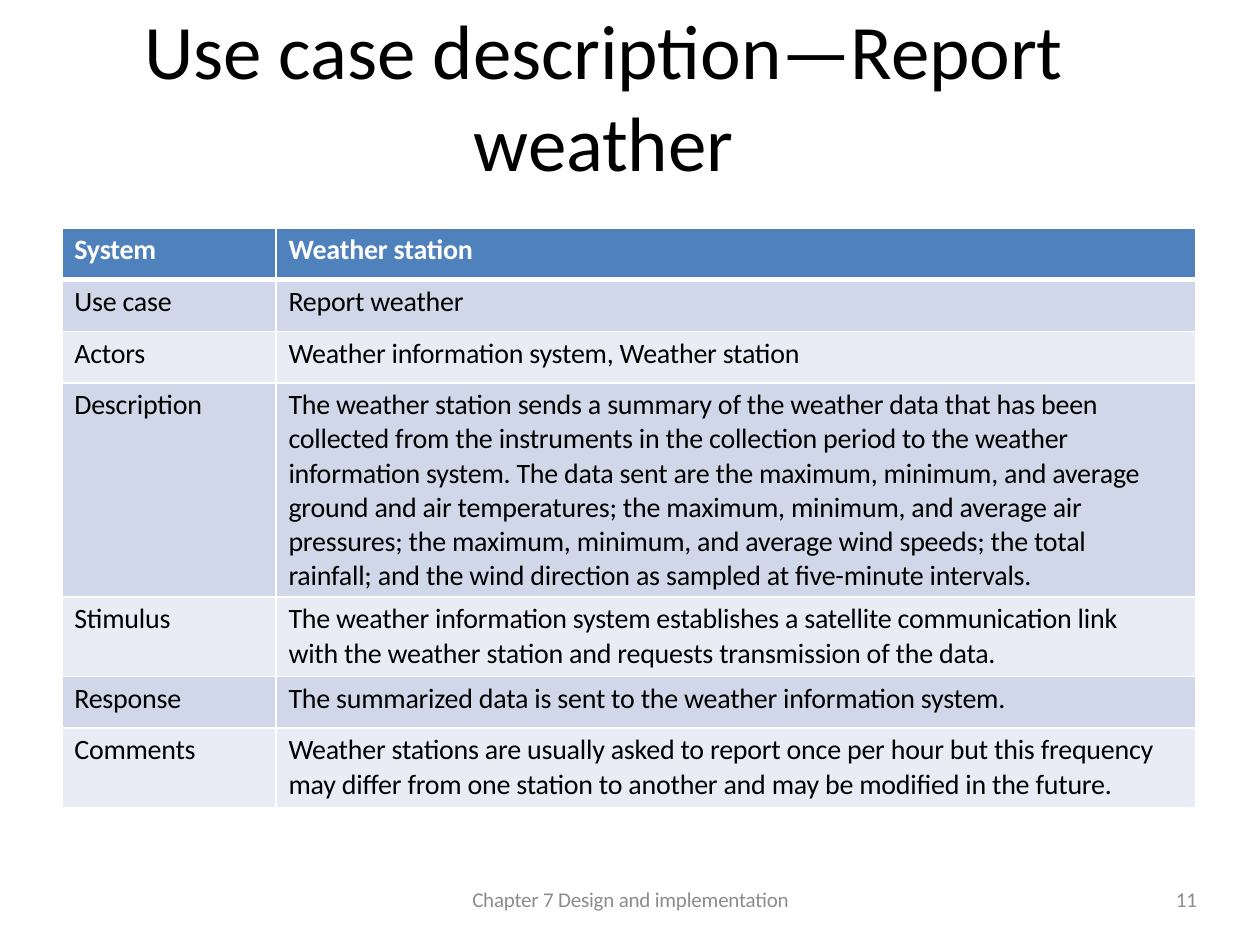
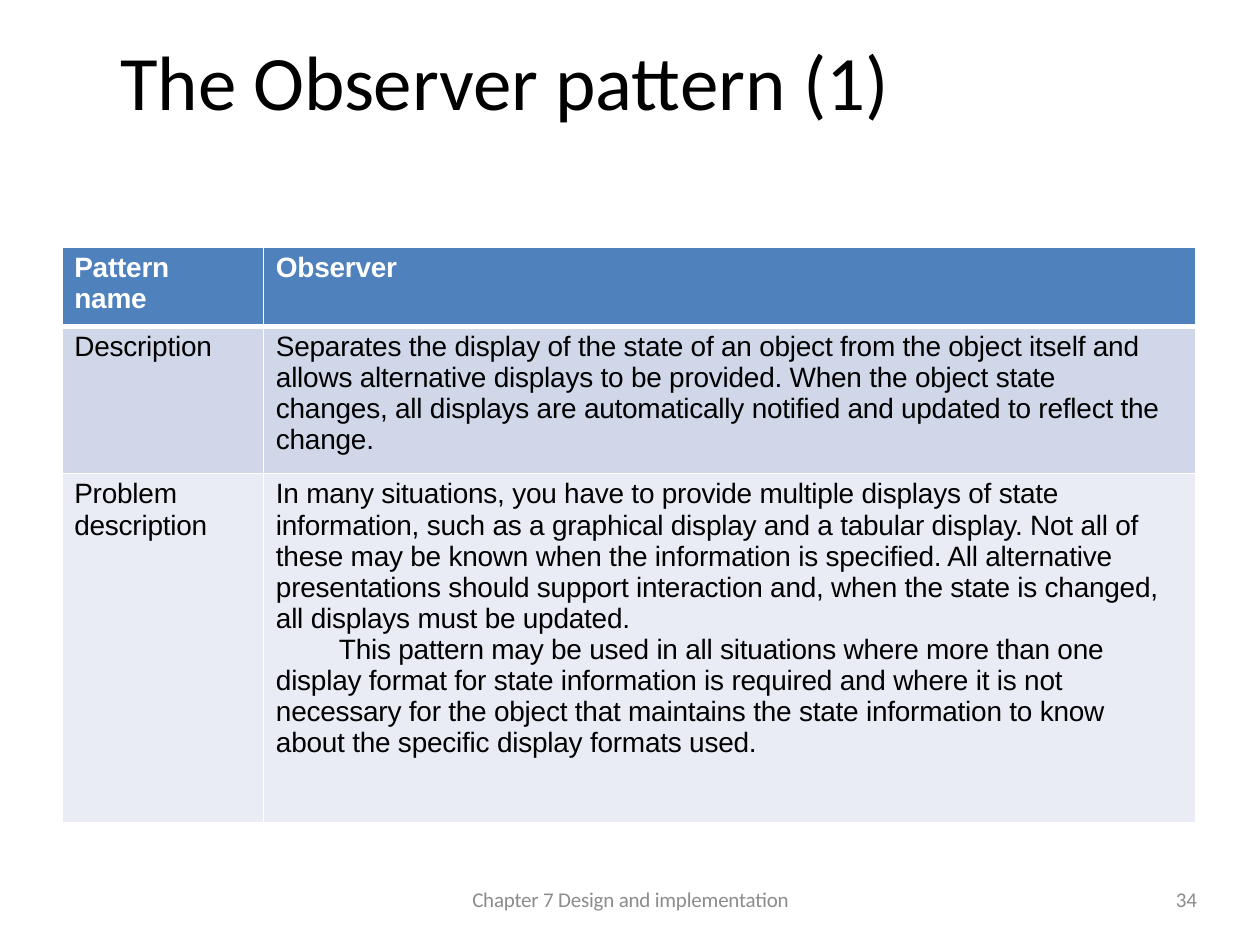
from pptx import Presentation
from pptx.dml.color import RGBColor
from pptx.enum.text import MSO_ANCHOR, MSO_AUTO_SIZE, PP_ALIGN
from pptx.oxml import parse_xml
from pptx.oxml.ns import nsdecls
from pptx.util import Inches, Pt

WHITE = RGBColor(0xFF, 0xFF, 0xFF)
BLACK = RGBColor(0x00, 0x00, 0x00)
GREY = RGBColor(0x8C, 0x8C, 0x8C)
HEADER_BLUE = RGBColor(0x4F, 0x81, 0xBC)
BANDS = (RGBColor(0xE9, 0xEC, 0xF4), RGBColor(0xD0, 0xD7, 0xE8))

CHAPTER = "Chapter 7 Design and implementation"
TIGHT = "-10"

USE_CASE = [
    ("System", "Weather station"),
    ("Use case", "Report weather"),
    ("Actors", "Weather information system, Weather station"),
    ("Description",
     "The weather station sends a summary of the weather data that has been "
     "collected from the instruments in the collection period to the weather "
     "information system. The data sent are the maximum, minimum, and average "
     "ground and air temperatures; the maximum, minimum, and average air "
     "pressures; the maximum, minimum, and average wind speeds; the total "
     "rainfall; and the wind direction as sampled at five-minute intervals."),
    ("Stimulus",
     "The weather information system establishes a satellite communication link "
     "with the weather station and requests transmission of the data."),
    ("Response", "The summarized data is sent to the weather information system."),
    ("Comments",
     "Weather stations are usually asked to report once per hour but this frequency "
     "may differ from one station to another and may be modified in the future."),
]

OBSERVER = [
    ("Pattern\nname", "Observer"),
    ("Description",
     "Separates the display of the state of an object from the object itself and "
     "allows alternative displays to be provided. When the object state "
     "changes, all displays are automatically notified and updated to reflect the "
     "change."),
    ("Problem description",
     "In many situations, you have to provide multiple displays of state "
     "information, such as a graphical display and a tabular display. Not all of "
     "these may be known when the information is specified. All alternative "
     "presentations should support interaction and, when the state is changed, "
     "all displays must be updated.\n"
     "This pattern may be used in all situations where more than one "
     "display format for state information is required and where it is not "
     "necessary for the object that maintains the state information to know "
     "about the specific display formats used."),
]


class Deck:
    def __init__(self):
        self.presentation = Presentation()
        self.presentation.slide_width = Inches(10)
        self.presentation.slide_height = Inches(7.5)
        self.slide = None

    def add_slide(self, title, title_box, number):
        layout = self.presentation.slide_layouts[5]
        self.slide = self.presentation.slides.add_slide(layout)
        heading = self.slide.shapes.title
        heading.left, heading.top, heading.width, heading.height = map(Inches, title_box)
        self.fill_frame(heading.text_frame, title, PP_ALIGN.CENTER, size=Pt(44), color=BLACK)
        self.footer(CHAPTER, 3.42, 3.17, PP_ALIGN.CENTER)
        self.footer(number, 7.17, 2.33, PP_ALIGN.RIGHT)

    def styled_run(self, paragraph, text, color, size, name="Calibri", bold=False):
        run = paragraph.add_run()
        run.text = text
        run._r.get_or_add_rPr().set("spc", TIGHT)
        for key, value in {"name": name, "size": size, "bold": bold}.items():
            setattr(run.font, key, value)
        run.font.color.rgb = color

    def fill_frame(self, frame, text, alignment, **style):
        settings = {
            "margin_left": 0, "margin_right": 0, "margin_top": 0, "margin_bottom": 0,
            "word_wrap": True, "auto_size": MSO_AUTO_SIZE.NONE,
            "vertical_anchor": MSO_ANCHOR.MIDDLE,
        }
        for key, value in settings.items():
            setattr(frame, key, value)
        paragraph = frame.paragraphs[0]
        paragraph.alignment = alignment
        self.styled_run(paragraph, text, **style)

    def footer(self, text, left, width, alignment):
        box = self.slide.shapes.add_textbox(
            Inches(left), Inches(6.95), Inches(width), Inches(0.4))
        self.fill_frame(box.text_frame, text, alignment, size=Pt(12), color=GREY)
        box.text_frame.paragraphs[0].line_spacing = Pt(12.4)

    def border(self, cell, side, width):
        cell._tc.get_or_add_tcPr().append(parse_xml(
            f'<a:ln{side} {nsdecls("a")} w="{Pt(width)}"><a:solidFill>'
            f'<a:srgbClr val="{WHITE}"/></a:solidFill></a:ln{side}>'))

    def fill_cell(self, cell, text, row, font):
        header = row == 0
        settings = {
            "margin_left": Inches(0.1), "margin_right": Inches(0.2),
            "margin_top": Inches(0.04), "margin_bottom": 0,
            "vertical_anchor": MSO_ANCHOR.TOP,
        }
        for key, value in settings.items():
            setattr(cell, key, value)
        widths = {"L": 1, "R": 1, "T": 3 if row == 1 else 1, "B": 3 if header else 1}
        for side, width in widths.items():
            self.border(cell, side, width)
        cell.fill.solid()
        cell.fill.fore_color.rgb = HEADER_BLUE if header else BANDS[row % 2]
        frame = cell.text_frame
        for index, passage in enumerate(text.split("\n")):
            paragraph = frame.add_paragraph() if index else frame.paragraphs[0]
            if index and not header:
                paragraph._p.get_or_add_pPr().set("indent", str(Inches(0.5)))
            self.styled_run(paragraph, passage, WHITE if header else BLACK, Pt(16), font, header)

    def table(self, entries, top, columns, heights, font):
        table = self.slide.shapes.add_table(
            len(entries), len(columns), Inches(0.49), Inches(top),
            Inches(sum(columns)), Inches(sum(heights))).table
        table.first_row = table.horz_banding = False
        for column, width in zip(table.columns, columns):
            column.width = Inches(width)
        for row, (entry, height) in enumerate(zip(entries, heights)):
            table.rows[row].height = Inches(height)
            for column, text in enumerate(entry):
                self.fill_cell(table.cell(row, column), text, row, font)


def main():
    deck = Deck()
    deck.add_slide("Use case description—Report weather", (0.5, 0, 8.58, 1.5), "11")
    deck.table(USE_CASE, 1.81, (1.7, 7.3),
               (0.41, 0.41, 0.41, 1.7, 0.63, 0.41, 0.63), "Calibri")
    deck.add_slide("The Observer pattern (1)", (0.59, 0.26, 6.83, 0.75), "34")
    deck.table(OBSERVER, 1.96, (1.6, 7.4), (0.63, 1.17, 2.77), "Arial")
    deck.presentation.save("out.pptx")


if __name__ == "__main__":
    main()
